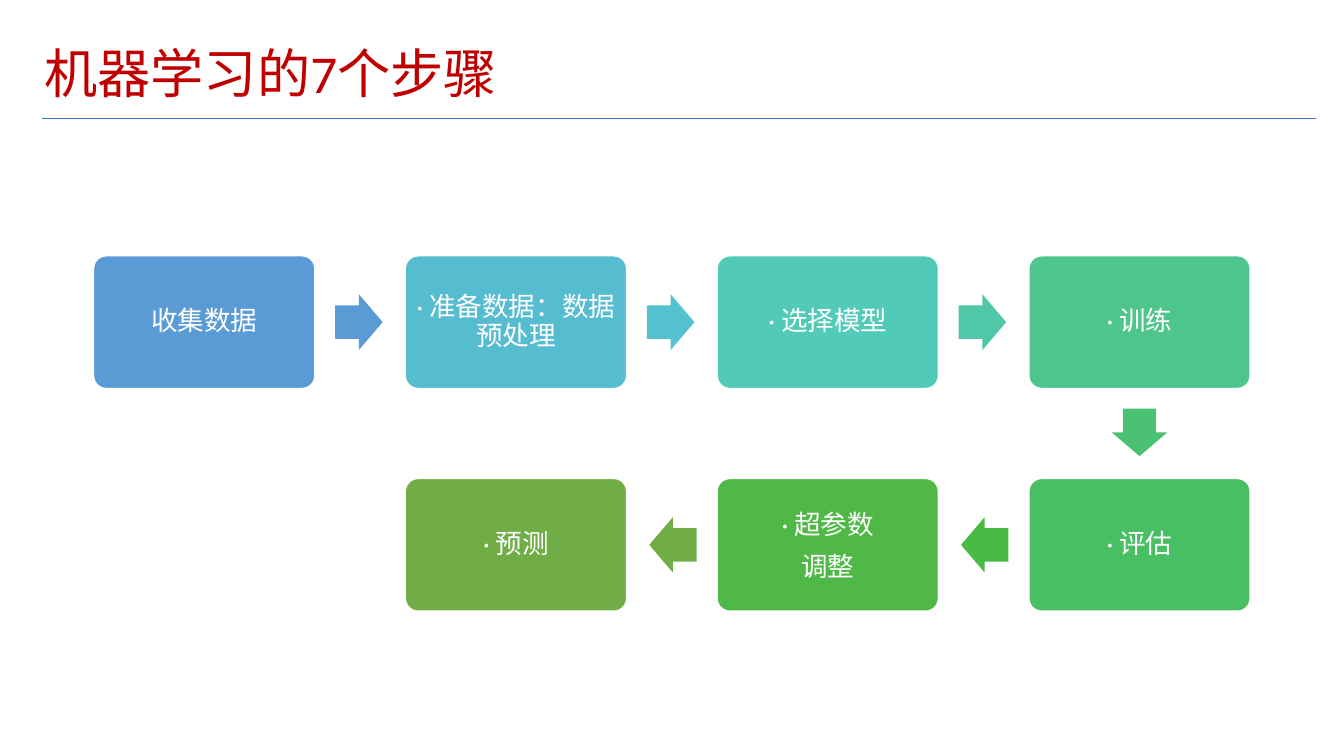
from dataclasses import dataclass

from lxml import etree
from pptx import Presentation
from pptx.dml.color import RGBColor
from pptx.enum.shapes import MSO_CONNECTOR, MSO_SHAPE
from pptx.enum.text import MSO_ANCHOR, PP_ALIGN
from pptx.oxml.ns import qn
from pptx.util import Pt

STRAIGHT = MSO_CONNECTOR.STRAIGHT
CARD, ARROW = MSO_SHAPE.ROUNDED_RECTANGLE, MSO_SHAPE.RIGHT_ARROW
MIDDLE = MSO_ANCHOR.MIDDLE
LEFT, CENTER = PP_ALIGN.LEFT, PP_ALIGN.CENTER

COLORS = {
    "white": "FFFFFF", "title": "C00000", "rule": "3F6FC3",
    "collect": "5B9BD5", "prepare": "56BCD0", "choose": "52CAB8",
    "train": "4DC58D", "evaluate": "49BF64", "tune": "50B846",
    "predict": "70AD47",
    "to_prepare": "5B9BD5", "to_choose": "55C3CF", "to_train": "50C8A7",
    "to_evaluate": "4BC174", "to_tune": "4ABA46", "to_predict": "70AD47",
}
FONT = "Calibri"

# Flow grid, in points
CARD_W, CARD_H = 159.1, 95.8
ARROW_W, ARROW_H = 33.9, 39.7
FIRST_X, FIRST_Y = 66.3, 182.2
PITCH_X, PITCH_Y = 222.7, 159.1
ARROW_PULL = 0.8  # arrows sit this much nearer the step they leave


@dataclass
class Step:
    name: str
    lines: list[str]
    col: int
    row: int
    line_spacing: float = 0.9

    def center(self) -> tuple[float, float]:
        return (FIRST_X + self.col * PITCH_X + CARD_W / 2,
                FIRST_Y + self.row * PITCH_Y + CARD_H / 2)


STEPS = [
    Step("collect", ["收集数据"], 0, 0),
    Step("prepare", ["· 准备数据：数据预处理"], 1, 0),
    Step("choose", ["· 选择模型"], 2, 0),
    Step("train", ["· 训练"], 3, 0),
    Step("evaluate", ["· 评估"], 3, 1),
    Step("tune", ["· 超参数", "调整"], 2, 1, 1.0),
    Step("predict", ["· 预测"], 1, 1),
]


def rgb(name: str) -> RGBColor:
    return RGBColor.from_string(COLORS[name])


def write(frame, lines: list[str], size: float, color: str, inset: float,
          paragraph_format: dict) -> None:
    frame_format = {"word_wrap": True, "vertical_anchor": MIDDLE}
    for side in ("left", "right", "top", "bottom"):
        frame_format[f"margin_{side}"] = Pt(inset)
    for key, value in frame_format.items():
        setattr(frame, key, value)
    for index, line in enumerate(lines):
        paragraph = frame.add_paragraph() if index else frame.paragraphs[0]
        for key, value in paragraph_format.items():
            setattr(paragraph, key, value)
        run = paragraph.add_run()
        run.text = line
        for key, value in {"name": FONT, "size": Pt(size)}.items():
            setattr(run.font, key, value)
        run.font.color.rgb = rgb(color)


def add_filled(slide, kind, center: tuple[float, float], width: float,
               height: float, color: str, adjustments: list[float]):
    x, y = center
    shape = slide.shapes.add_shape(kind, Pt(x - width / 2), Pt(y - height / 2),
                                   Pt(width), Pt(height))
    shape.shadow.inherit = False
    shape.fill.solid()
    shape.fill.fore_color.rgb = rgb(color)
    for index, value in enumerate(adjustments):
        shape.adjustments[index] = value
    return shape


def add_step(slide, step: Step) -> None:
    card = add_filled(slide, CARD, step.center(), CARD_W, CARD_H, step.name, [0.1])
    card.line.color.rgb = rgb("white")
    card.line.width = Pt(2)
    write(card.text_frame, step.lines, 19, "white", 5.7,
          {"alignment": CENTER, "line_spacing": step.line_spacing,
           "space_after": Pt(6.65)})


def add_flow_arrow(slide, start: Step, end: Step) -> None:
    across, down = end.col - start.col, end.row - start.row
    x, y = start.center()
    middle = (x + across * (PITCH_X / 2 - ARROW_PULL),
              y + down * (PITCH_Y / 2 - ARROW_PULL))
    arrow = add_filled(slide, ARROW, middle, ARROW_W, ARROW_H,
                       f"to_{end.name}", [0.6, 0.5])
    arrow.line.fill.background()
    arrow.rotation = 90 if down else 0 if across > 0 else 180


def add_heading(slide) -> None:
    rule = slide.shapes.add_connector(STRAIGHT, Pt(30), Pt(84.4), Pt(940), Pt(84.4))
    rule.line.color.rgb = rgb("rule")
    rule.line.width = Pt(0.75)
    etree.SubElement(rule._element.spPr, qn("a:effectLst"))
    title = slide.shapes.add_textbox(Pt(28), Pt(28.8), Pt(801.4), Pt(51.1))
    write(title.text_frame, ["机器学习的7个步骤"], 38, "title", 3.6,
          {"alignment": LEFT, "line_spacing": 0.9})


def main() -> None:
    deck = Presentation()
    deck.slide_width, deck.slide_height = Pt(960), Pt(540)
    slide = deck.slides.add_slide(deck.slide_layouts[6])

    # Title and rule
    add_heading(slide)

    # Seven steps and the arrows between them
    for step in STEPS:
        add_step(slide, step)
    for start, end in zip(STEPS, STEPS[1:]):
        add_flow_arrow(slide, start, end)

    deck.save("out.pptx")


if __name__ == "__main__":
    main()
